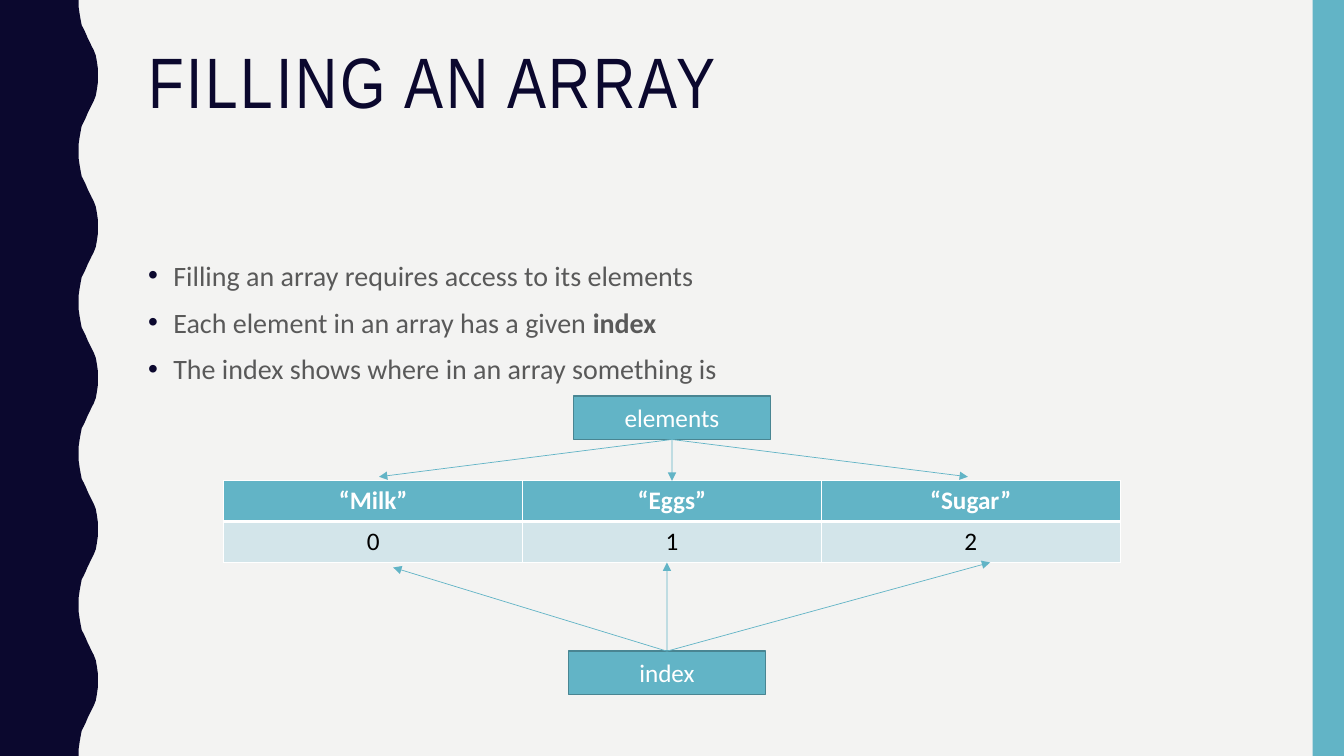
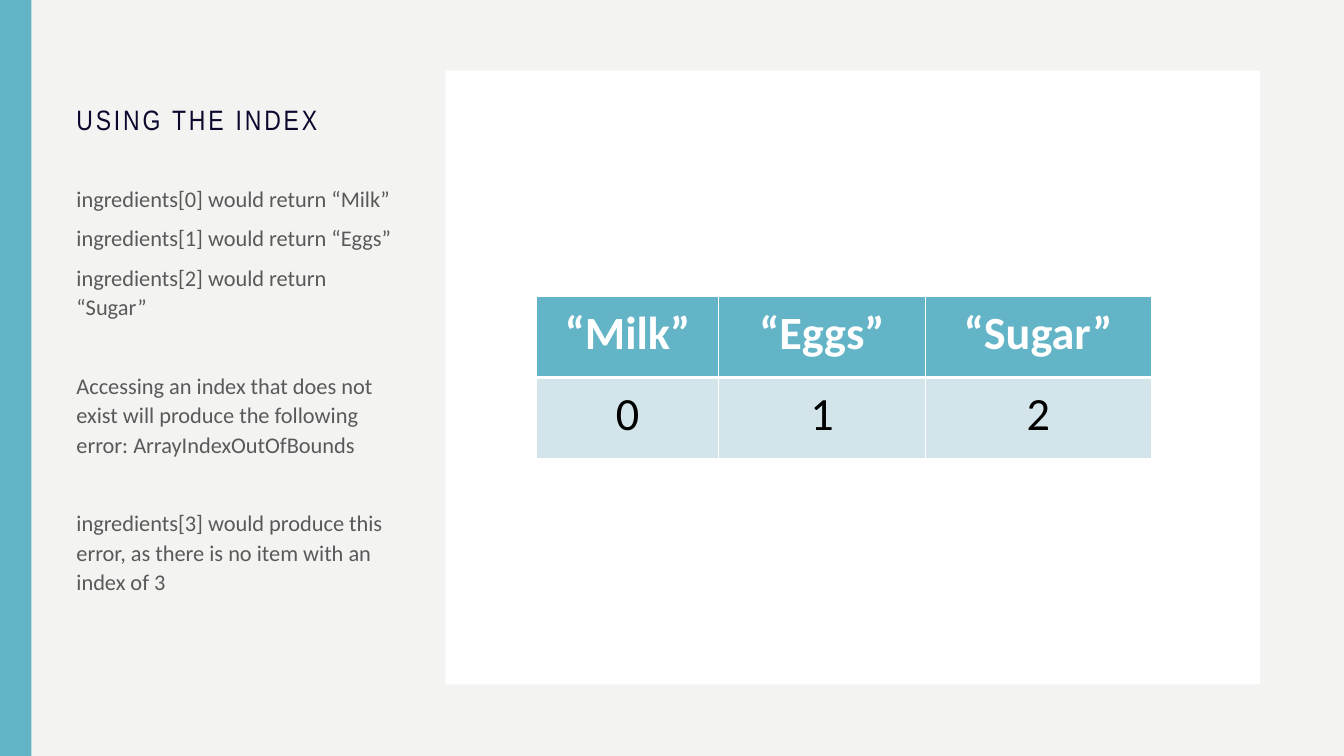
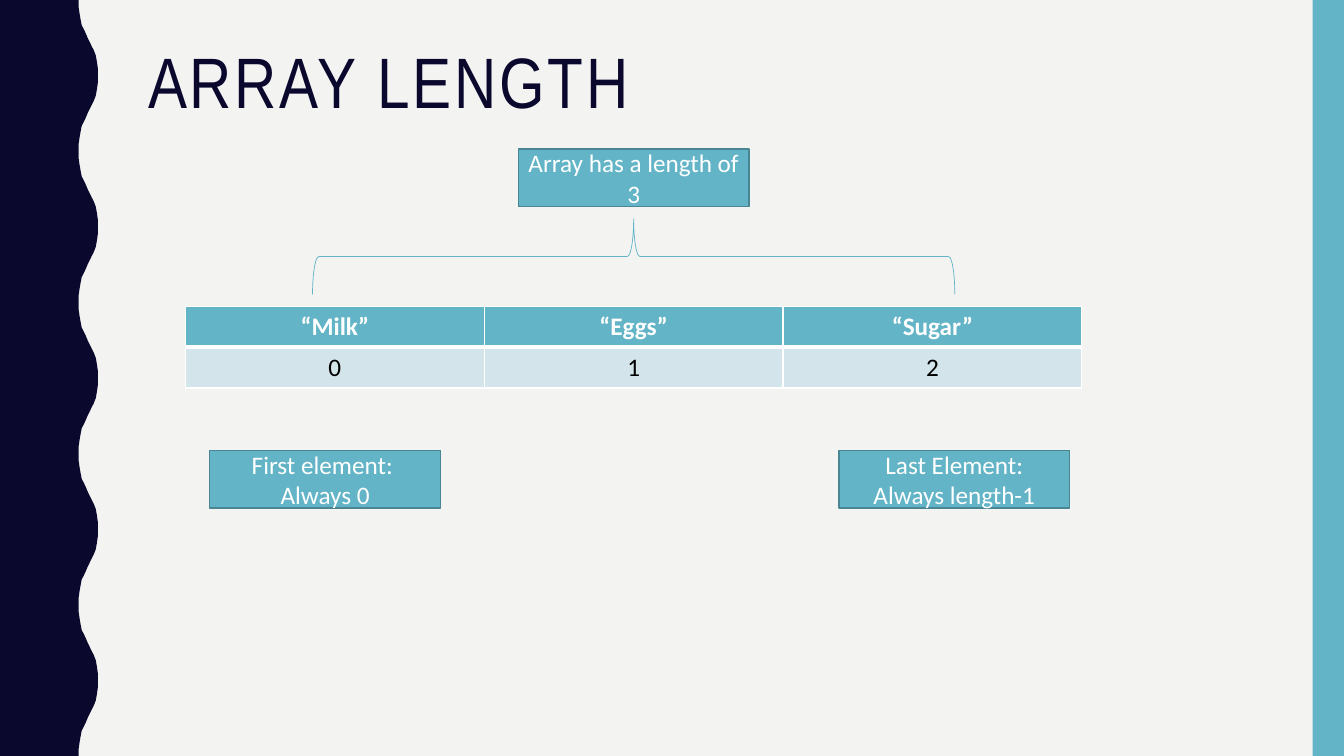
from dataclasses import dataclass

from lxml.etree import SubElement
from pptx import Presentation
from pptx.dml.color import RGBColor
from pptx.enum.shapes import MSO_CONNECTOR as Connector, MSO_SHAPE as Shape
from pptx.enum.text import MSO_ANCHOR as Anchor, PP_ALIGN as Align
from pptx.oxml import parse_xml
from pptx.oxml.ns import nsdecls, qn
from pptx.util import Inches, Pt

# Shared look
NAVY, AQUA, AQUA_DARK, AQUA_PALE = "0B082E", "62B4C6", "498592", "D3E5EA"
PAPER, WHITE, BLACK, GREY = "F3F3F2", "FFFFFF", "000000", "595959"
TITLE_FONT, BODY_FONT = "Arial Narrow", "Calibri"
BAND = 2.33
TOP, BOTTOM = 0, 2

# Half a wave of the left band: x in % of its width, y in % of the wavelength
WAVES = 5
HALF_WAVE = [(80.4, 0), (80.4, 4.7), (81.4, 9.3), (82.5, 13.3), (83.5, 16.7),
             (85.6, 19.3), (87.6, 22), (89.7, 25.3), (91.8, 28), (93.8, 30.7),
             (95.9, 33.3), (97.9, 36.7), (99, 40.7), (100, 45.3), (100, 50)]

ARRAY = [["“Milk”", "“Eggs”", "“Sugar”"], ["0", "1", "2"]]


@dataclass
class Box:
    """A region of the slide, whose inner areas are given in percent of it."""
    left: int
    top: int
    width: int
    height: int

    def point(self, x, y):
        return (int(self.left + self.width * x / 100),
                int(self.top + self.height * y / 100))

    def area(self, x, y, width, height):
        return Box(*self.point(x, y), int(self.width * width / 100),
                   int(self.height * height / 100))

    def place(self):
        return self.left, self.top, self.width, self.height


PAGE = Box(0, 0, Inches(13.33), Inches(7.5))


def color(value):
    return RGBColor.from_string(value)


def write(frame, paras, size=18, font=BODY_FONT, ink=WHITE, bold=False, align=None,
          anchor=Anchor.TOP, line=None, before=None, bullet=False, tracking=0):
    """Fill a frame; in a paragraph given as a list, every second span is bold."""
    frame.word_wrap = True
    frame.vertical_anchor = anchor
    for number, spans in enumerate(paras):
        para = frame.add_paragraph() if number else frame.paragraphs[0]
        para.alignment = align
        if line:
            para.line_spacing = line
        if before:
            para.space_before = Pt(before[number])
        if bullet:
            add_bullet(para)
        for order, text in enumerate([spans] if isinstance(spans, str) else spans):
            span = para.add_run()
            span.text = text
            span.font.size, span.font.name = Pt(size), font
            span.font.bold = bold or order % 2 == 1
            span.font.color.rgb = color(ink)
            if tracking:
                span.font._element.set("spc", str(tracking * 100))


def add_bullet(para):
    props = para._p.get_or_add_pPr()
    props.set("marL", str(Inches(0.25)))
    props.set("indent", str(-Inches(0.25)))
    tint = SubElement(props, qn("a:buClr"))
    SubElement(tint, qn("a:srgbClr")).set("val", NAVY)
    SubElement(props, qn("a:buFont")).set("typeface", "Arial")
    SubElement(props, qn("a:buChar")).set("char", "•")


def add_text(page, box, paras, **style):
    write(page.shapes.add_textbox(*box.place()).text_frame, paras, **style)


def add_title(page, box, text, size=51, anchor=Anchor.TOP):
    add_text(page, box, [text], size=size, font=TITLE_FONT, ink=NAVY, line=0.9,
             tracking=2, anchor=anchor)


def paint(shape, fill):
    shape.shadow.inherit = False
    shape.fill.solid()
    shape.fill.fore_color.rgb = color(fill)
    shape.line.fill.background()


def add_rect(page, box, fill):
    rect = page.shapes.add_shape(Shape.RECTANGLE, *box.place())
    paint(rect, fill)
    return rect


def add_label(page, box, *paras):
    label = add_rect(page, box, AQUA)
    label.line.color.rgb = color(AQUA_DARK)
    label.line.width = Pt(1)
    write(label.text_frame, paras, align=Align.CENTER, anchor=Anchor.MIDDLE)
    return label


def add_arrow(page, label, side, tip):
    arrow = page.shapes.add_connector(Connector.STRAIGHT, *tip, *tip)
    arrow.begin_connect(label, side)
    arrow.end_x, arrow.end_y = tip
    arrow.line.color.rgb = color(AQUA)
    arrow.line.width = Pt(0.5)
    SubElement(arrow.line._get_or_add_ln(), qn("a:tailEnd")).set("type", "triangle")
    SubElement(arrow._element.spPr, qn("a:effectLst"))


def add_brace(page, box):
    # A right brace turned a quarter to the left, so its sides are swapped
    left = box.left + (box.width - box.height) // 2
    top = box.top + (box.height - box.width) // 2
    brace = page.shapes.add_shape(Shape.RIGHT_BRACE, left, top, box.height, box.width)
    brace.rotation = 270
    brace.shadow.inherit = False
    brace.fill.background()
    brace.line.color.rgb = color(AQUA)
    brace.line.width = Pt(0.5)


def add_borders(cell, **widths):
    props = cell._tc.get_or_add_tcPr()
    for order, side in enumerate("LRTB"):
        props.insert(order, parse_xml(
            f'<a:ln{side} {nsdecls("a")} w="{Pt(widths.get(side, 1))}"><a:solidFill>'
            f'<a:srgbClr val="{WHITE}"/></a:solidFill></a:ln{side}>'))


def add_array(page, box, size=18, shares=(1, 1, 1), margins=(0.1, 0.05)):
    """The array as a table: elements above, indexes below."""
    table = page.shapes.add_table(len(ARRAY), len(shares), *box.place()).table
    for column, share in zip(table.columns, shares):
        column.width = int(box.width * share / sum(shares))
    for number, texts in enumerate(ARRAY):
        head = number == 0
        table.rows[number].height = box.height // len(ARRAY)
        for cell, text in zip(table.rows[number].cells, texts):
            cell.margin_left = cell.margin_right = Inches(margins[0])
            cell.margin_top = cell.margin_bottom = Inches(margins[1])
            cell.fill.solid()
            cell.fill.fore_color.rgb = color(AQUA if head else AQUA_PALE)
            add_borders(cell, **{"B" if head else "T": 3})
            write(cell.text_frame, [text], size=size, bold=head,
                  ink=WHITE if head else BLACK, align=Align.CENTER)


def add_wave(page, box):
    """The left band with its wavy right edge."""
    wave = HALF_WAVE + [(x, 100 - y) for x, y in HALF_WAVE[-2::-1]]
    edge = [box.point(x, (number + y / 100) * 100 / WAVES)
            for number in range(WAVES) for x, y in wave]
    outline = page.shapes.build_freeform(*box.point(0, 0), scale=1.0)
    outline.add_line_segments(edge + [box.point(0, 100)], close=True)
    paint(outline.convert_to_shape(), NAVY)


def add_page(deck):
    return deck.slides.add_slide(deck.slide_layouts[6])


def add_wave_page(deck, title):
    page = add_page(deck)
    add_wave(page, PAGE.area(0, 0, 7.28, 100))
    add_rect(page, PAGE.area(100 - BAND, 0, BAND, 100), AQUA)
    add_title(page, PAGE.area(10.28, 5.6, 83.48, 21.73), title)
    return page


def add_index_diagram(page, box):
    """Array with arrows from the two labels to its rows."""
    add_array(page, box.area(0, 28.38, 100, 27.36))
    elements = add_label(page, box.area(39.03, 0, 21.93, 14.53), "elements")
    index = add_label(page, box.area(38.47, 85.47, 21.93, 14.53), "index")
    for label, side, tips in (
            (elements, BOTTOM, [(17.32, 27.03), (50, 28.38), (83.01, 27.03)]),
            (index, TOP, [(18.9, 57.43), (49.44, 55.74), (85.49, 55.74)])):
        for tip in tips:
            add_arrow(page, label, side, box.point(*tip))


def add_length_diagram(page, box):
    """Array under a brace, with labels for its length and its ends."""
    add_array(page, box.area(0, 43.82, 100, 22.75))
    add_brace(page, box.area(14.17, 19.38, 71.65, 21.07))
    for x, y, paras in ((37.12, 0, ["Array has a length of 3"]),
                        (72.89, 83.99, ["Last Element:", "Always length-1"]),
                        (2.7, 83.99, ["First element: ", "Always 0"])):
        add_label(page, box.area(x, y, 25.76, 16.01), *paras)


def add_side_column(page, box, title, paras, before):
    """Small title above running text."""
    add_title(page, box.area(0, 0, 100, 15.38), title, size=20, anchor=Anchor.BOTTOM)
    add_text(page, box.area(0, 21.04, 100, 78.96), paras, size=16, ink=GREY,
             line=1.1, before=before)


def add_array_panel(page, box):
    """White panel with a large array."""
    add_rect(page, box, WHITE)
    add_array(page, box.area(11.14, 36.78, 75.5, 26.44), size=33,
              shares=(1.81, 2.05, 2.24), margins=(0.18, 0.09))


def filling_slide(deck):
    page = add_wave_page(deck, "FILLING AN ARRAY")
    add_text(page, PAGE.area(10.28, 33.07, 83.48, 52.4),
             ["Filling an array requires access to its elements",
              ["Each element in an array has a given ", "index"],
              "The index shows where in an array something is"],
             size=20, ink=GREY, line=1.1, before=(7, 7, 7), bullet=True)
    add_index_diagram(page, PAGE.area(16.65, 52.4, 66.7, 39.47))


def using_slide(deck):
    page = add_page(deck)
    add_rect(page, PAGE.area(0, 0, BAND, 100), AQUA)
    add_side_column(
        page, PAGE.area(4.95, 5.6, 25.5, 84.94), "USING THE INDEX",
        ["ingredients[0] would return “Milk”",
         "ingredients[1] would return “Eggs”",
         "ingredients[2] would return “Sugar”",
         "Accessing an index that does not exist will produce the following "
         "error: ArrayIndexOutOfBounds",
         "ingredients[3] would produce this error, as there is no item with an "
         "index of 3"],
        before=(7, 7, 7, 35, 35))
    add_array_panel(page, PAGE.area(33.15, 9.33, 60.6, 81.2))


def length_slide(deck):
    page = add_wave_page(deck, "ARRAY LENGTH")
    add_length_diagram(page, PAGE.area(13.8, 19.73, 66.7, 47.47))


def main():
    deck = Presentation()
    deck.slide_width, deck.slide_height = PAGE.width, PAGE.height
    backdrop = deck.slide_master.background.fill
    backdrop.solid()
    backdrop.fore_color.rgb = color(PAPER)
    for build in (filling_slide, using_slide, length_slide):
        build(deck)
    deck.save("out.pptx")


if __name__ == "__main__":
    main()
